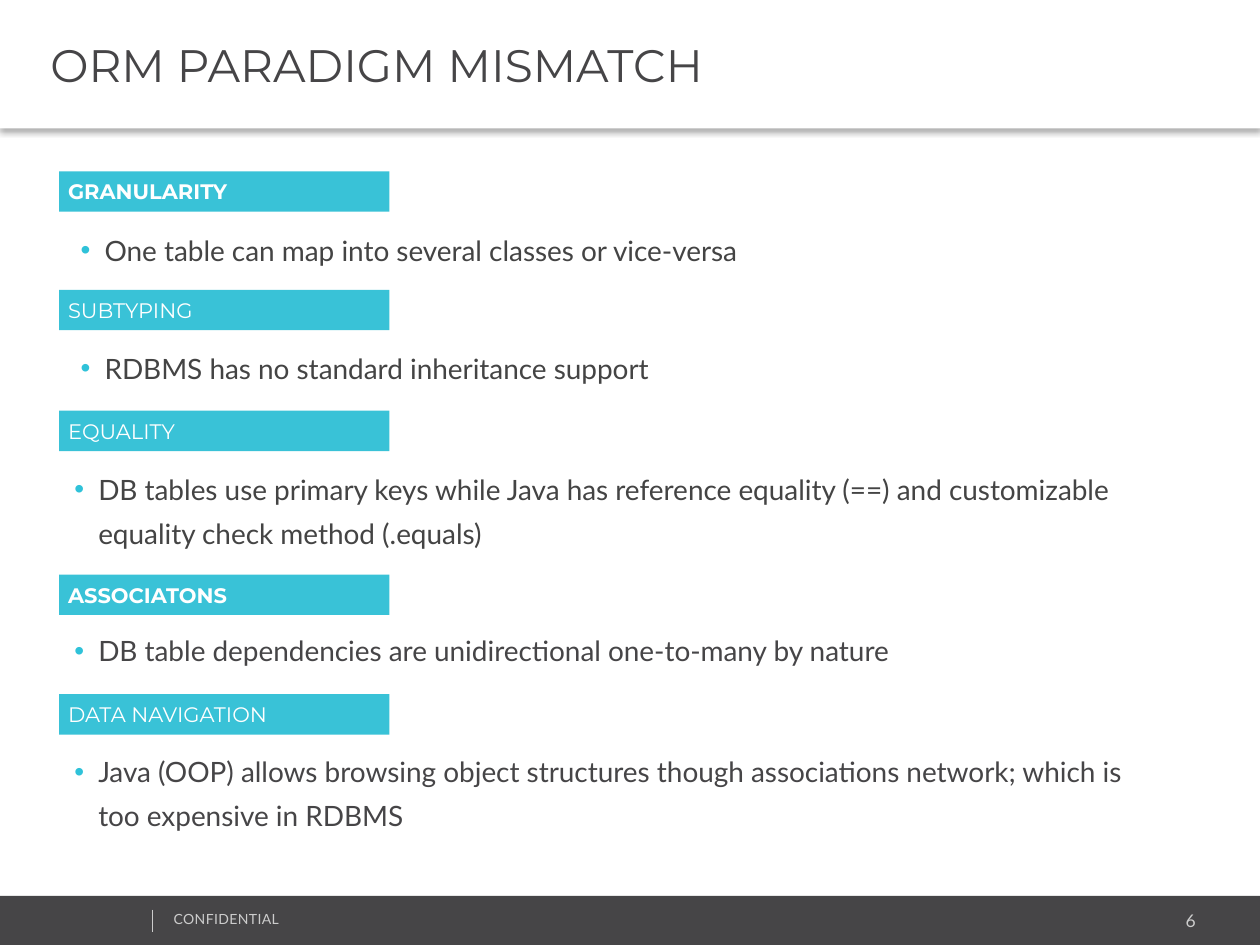
from lxml.etree import SubElement
from pptx import Presentation
from pptx.dml.color import RGBColor
from pptx.enum.shapes import MSO_CONNECTOR as CONNECTOR, MSO_SHAPE as SHAPE
from pptx.enum.text import MSO_ANCHOR as ANCHOR, MSO_AUTO_SIZE as AUTO_SIZE, PP_ALIGN as ALIGN
from pptx.oxml.ns import qn
from pptx.util import Inches, Pt

WHITE = RGBColor(0xFF, 0xFF, 0xFF)
CHARCOAL = RGBColor(0x46, 0x45, 0x47)
BODY_GRAY = RGBColor(0x44, 0x44, 0x44)
FOOTER_GRAY = RGBColor(0xCC, 0xCC, 0xCC)
TEAL = RGBColor(0x39, 0xC2, 0xD7)
BULLET_TEAL = RGBColor(0x2F, 0xC2, 0xD9)

HEADING, BODY = "Montserrat", "Lato"
WIDTH, HEIGHT = 10, 7.5
LABEL_LEFT, LABEL_WIDTH, LABEL_HEIGHT = 0.47, 2.62, 0.32
INDENT = 0.19

# Label, label top, bold, statement, statement left and top, line count, colour
TOPICS = [
    ("GRANULARITY", 1.36, True,
     "One table can map into several classes or vice-versa",
     0.57, 1.73, 1, BODY_GRAY),
    ("SUBTYPING", 2.3, False,
     "RDBMS has no standard inheritance support",
     0.57, 2.67, 1, BODY_GRAY),
    ("EQUALITY", 3.26, False,
     "DB tables use primary keys while Java has reference equality (==) "
     "and customizable equality check method (.equals)",
     0.52, 3.63, 2, BODY_GRAY),
    ("ASSOCIATONS", 4.56, True,
     "DB table dependencies are unidirectional one-to-many by nature",
     0.52, 4.91, 1, CHARCOAL),
    ("DATA NAVIGATION", 5.51, False,
     "Java (OOP) allows browsing object structures though associations "
     "network; which is too expensive in RDBMS",
     0.52, 5.87, 2, CHARCOAL),
]


def box(*lengths):
    return [Inches(length) for length in lengths]


def write(shape, text, font, size, color, margins, anchor=ANCHOR.TOP,
          align=ALIGN.LEFT, bold=False):
    """Fill a shape with one formatted paragraph and return it."""
    frame = shape.text_frame
    frame.text = text
    frame.word_wrap = True
    frame.auto_size = AUTO_SIZE.NONE
    frame.vertical_anchor = anchor
    (frame.margin_left, frame.margin_top,
     frame.margin_right, frame.margin_bottom) = box(*margins)
    paragraph = frame.paragraphs[0]
    paragraph.alignment = align
    run_font = paragraph.runs[0].font
    run_font.name, run_font.size, run_font.bold = font, Pt(size), bold
    run_font.color.rgb = color
    return paragraph


def add_bar(slide, left, top, width, height, color):
    bar = slide.shapes.add_shape(SHAPE.RECTANGLE, *box(left, top, width, height))
    bar.shadow.inherit = False
    bar.fill.solid()
    bar.fill.fore_color.rgb = color
    bar.line.fill.background()
    return bar


def add_title(slide, text):
    title = slide.shapes.title
    title.left, title.top, title.width, title.height = box(0, 0, WIDTH, 1.02)
    title.fill.solid()
    title.fill.fore_color.rgb = WHITE
    write(title, text, HEADING, 26, CHARCOAL, (0.4, 0.05, 0.1, 0.05), ANCHOR.MIDDLE)
    # Soft shadow below the title band
    effects = SubElement(title.element.spPr, qn("a:effectLst"))
    shadow = SubElement(effects, qn("a:outerShdw"), blurRad=str(Pt(3.1)),
                        dist=str(Pt(2)), dir=str(90 * 60000), rotWithShape="0")
    black = SubElement(shadow, qn("a:srgbClr"), val="000000")
    SubElement(black, qn("a:alpha"), val="30000")


def add_label(slide, text, top, bold):
    label = add_bar(slide, LABEL_LEFT, top, LABEL_WIDTH, LABEL_HEIGHT, TEAL)
    write(label, text, HEADING, 12, WHITE, (0.07, 0.06, 0.07, 0.06),
          ANCHOR.MIDDLE, bold=bold)


def add_statement(slide, text, left, top, lines, color):
    statement = slide.shapes.add_textbox(*box(left, top, 8.46, 0.39 * lines))
    paragraph = write(statement, text, BODY, 16, color, (0.07, 0.04, 0.07, 0.04))
    paragraph.line_spacing = 1.3
    paragraph.space_after = Pt(10)
    # Teal bullet with a hanging indent
    properties = paragraph._p.get_or_add_pPr()
    properties.set("marL", str(Inches(INDENT)))
    properties.set("indent", str(Inches(-INDENT)))
    bullet_color = SubElement(properties, qn("a:buClr"))
    SubElement(bullet_color, qn("a:srgbClr"), val=str(BULLET_TEAL))
    SubElement(properties, qn("a:buFont"), typeface="Arial")
    SubElement(properties, qn("a:buChar"), char="•")


def add_footer(slide):
    add_bar(slide, 0, 7.11, WIDTH, HEIGHT - 7.11, CHARCOAL)
    margins = (0.1, 0.05, 0.1, 0.05)
    number = slide.shapes.add_textbox(*box(7.96, 7.17, 1.63, 0.27))
    write(number, "6", BODY, 10, FOOTER_GRAY, margins, align=ALIGN.RIGHT)
    notice = slide.shapes.add_textbox(*box(1.28, 7.18, 2.53, 0.24))
    paragraph = write(notice, "CONFIDENTIAL", BODY, 8, FOOTER_GRAY, margins)
    paragraph.runs[0]._r.get_or_add_rPr().set("spc", "20")
    divider = slide.shapes.add_connector(CONNECTOR.STRAIGHT, *box(1.21, 7.22, 1.21, 7.4))
    divider.line.color.rgb = FOOTER_GRAY
    divider.line.width = Pt(0.25)
    SubElement(divider.element.spPr, qn("a:effectLst"))


def main():
    deck = Presentation()
    deck.slide_width, deck.slide_height = box(WIDTH, HEIGHT)
    slide = deck.slides.add_slide(deck.slide_layouts[5])
    add_footer(slide)
    add_title(slide, "ORM PARADIGM MISMATCH")
    for label, label_top, bold, statement, left, top, lines, color in TOPICS:
        add_label(slide, label, label_top, bold)
        add_statement(slide, statement, left, top, lines, color)
    deck.save("out.pptx")


if __name__ == "__main__":
    main()
